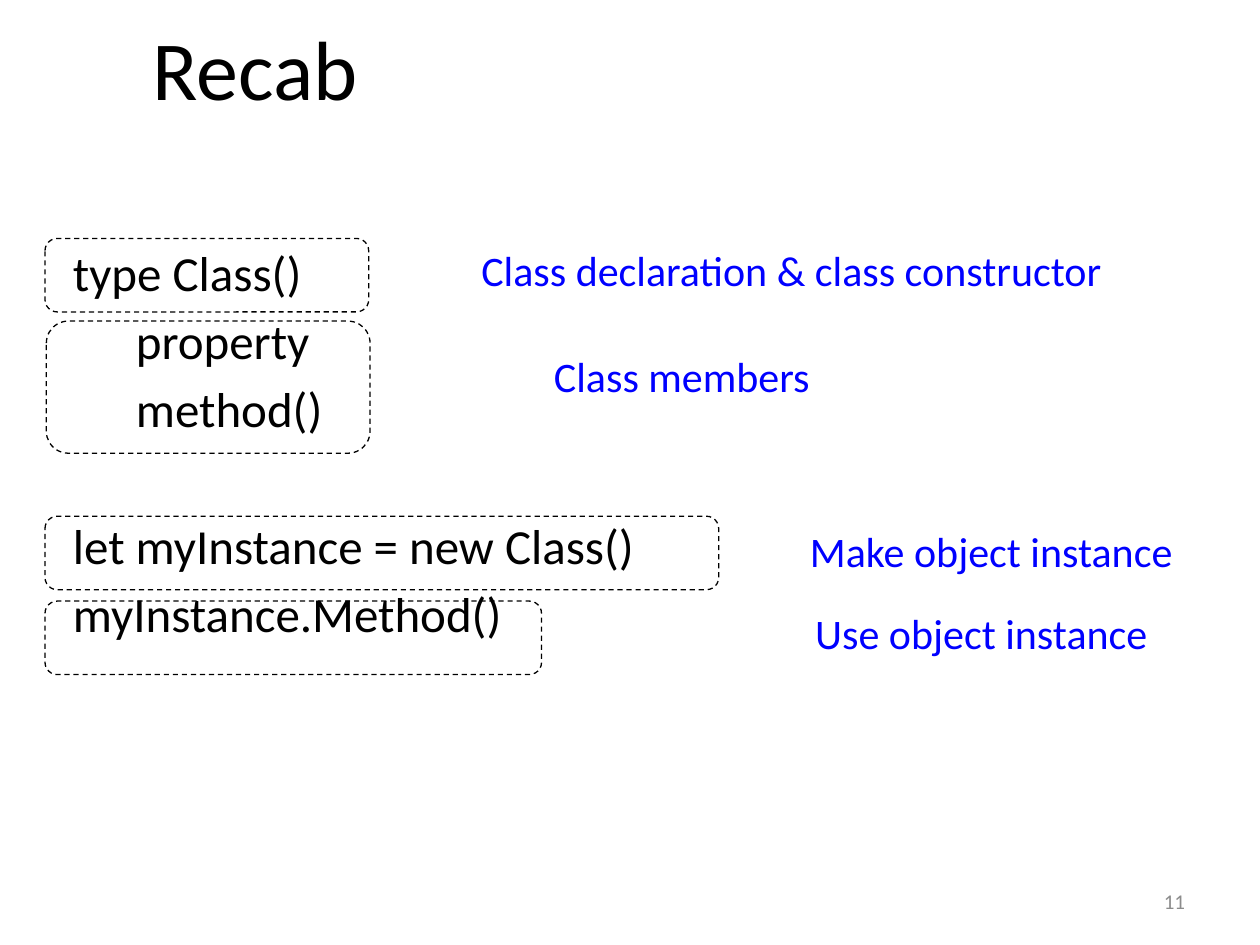
from lxml import etree
from pptx import Presentation
from pptx.dml.color import RGBColor
from pptx.enum import dml, shapes, text
from pptx.oxml.ns import qn
from pptx.util import Pt

BLACK = RGBColor(0, 0, 0)
BLUE = RGBColor(0, 0, 255)
GRAY = RGBColor(0x8C, 0x8C, 0x8C)

TITLE = ("Recab", (80, 6, 133, 65.5))
PAGE_NUMBER = ("11", (516.25, 500.5, 168, 28.75))

# text, indent, space before
CODE_BOX = (34.5, 135, 648, 400)
CODE = [
    ("type Class()", 0, 0),
    ("property", 36, 5.25),
    ("method()", 36, 5.25),
    ("let myInstance = new Class()", 0, 44.65),
    ("myInstance.Method()", 0, 5.25),
]

# left, top, width, height
FRAMES = [
    (25.75, 136.25, 185, 42),
    (26.5, 183.5, 185, 75.5),
    (25.75, 295, 385, 42),
    (25.75, 343.5, 283.75, 42),
]

NOTES = [
    ("Class declaration & class constructor", (268, 136.25, 432.5, 36)),
    ("Class members", (309.5, 196.75, 390.5, 36)),
    ("Make object instance", (455.75, 296.5, 244.75, 36)),
    ("Use object instance", (458.75, 343.5, 261.25, 36)),
]


def place(shape, box):
    for name, value in zip(("left", "top", "width", "height"), box):
        setattr(shape, name, Pt(value))


def write(paragraph, content, size, color, alignment=text.PP_ALIGN.LEFT):
    paragraph.text = content
    paragraph.alignment = alignment
    for name, value in {"size": Pt(size), "name": "Calibri"}.items():
        setattr(paragraph.font, name, value)
    paragraph.font.color.rgb = color


def format_frame(frame, wrap=True, anchor=text.MSO_ANCHOR.TOP):
    values = {
        "word_wrap": wrap,
        "vertical_anchor": anchor,
        "auto_size": text.MSO_AUTO_SIZE.NONE,
    }
    for name, value in values.items():
        setattr(frame, name, value)


def add_label(slide, content, box, size, color, **paragraph_format):
    label = slide.shapes.add_textbox(*map(Pt, box))
    format_frame(label.text_frame)
    write(label.text_frame.paragraphs[0], content, size, color, **paragraph_format)
    return label


def fill_code(body):
    place(body, CODE_BOX)
    frame = body.text_frame
    format_frame(frame)
    for index, (line, indent, space) in enumerate(CODE):
        paragraph = frame.add_paragraph() if index else frame.paragraphs[0]
        properties = paragraph._p.get_or_add_pPr()
        properties.set("marL", str(Pt(indent)))
        properties.set("indent", "0")
        etree.SubElement(properties, qn("a:buNone"))
        paragraph.space_before = Pt(space)
        write(paragraph, line, 28, BLACK)


def add_dashed_frame(slide, box):
    shape = slide.shapes.add_shape(
        shapes.MSO_SHAPE.ROUNDED_RECTANGLE, *map(Pt, box))
    shape.shadow.inherit = False
    shape.fill.background()
    shape.line.color.rgb = BLACK
    shape.line.width = Pt(0.75)
    shape.line.dash_style = dml.MSO_LINE.DASH


def main():
    presentation = Presentation()
    presentation.slide_width, presentation.slide_height = Pt(720), Pt(540)
    slide = presentation.slides.add_slide(presentation.slide_layouts[1])

    title = slide.shapes.title
    content, box = TITLE
    place(title, box)
    format_frame(title.text_frame, wrap=False)
    write(title.text_frame.paragraphs[0], content, 48, BLACK)

    fill_code(slide.placeholders[1])
    for box in FRAMES:
        add_dashed_frame(slide, box)
    for content, box in NOTES:
        add_label(slide, content, box, 24, BLUE)

    number = add_label(slide, *PAGE_NUMBER, 12, GRAY,
                       alignment=text.PP_ALIGN.RIGHT)
    number.text_frame.vertical_anchor = text.MSO_ANCHOR.MIDDLE
    presentation.save("out.pptx")


if __name__ == "__main__":
    main()
